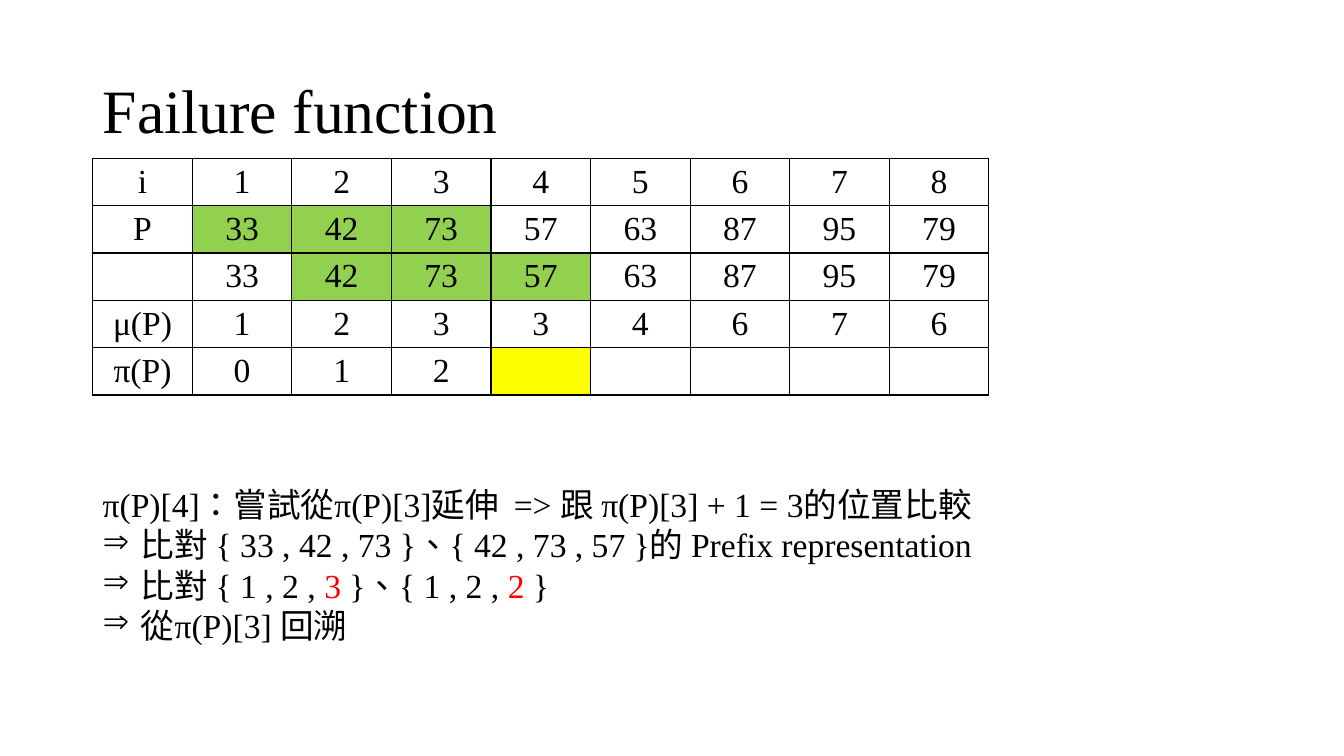
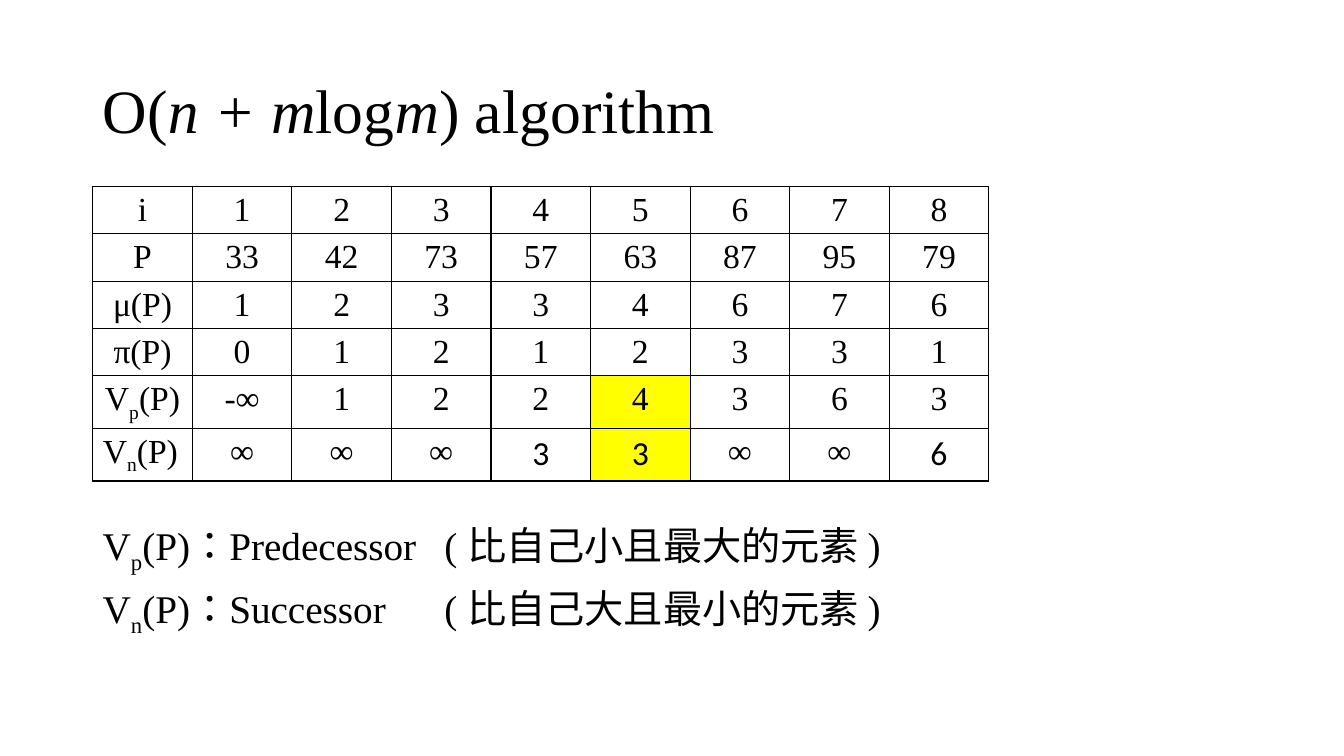
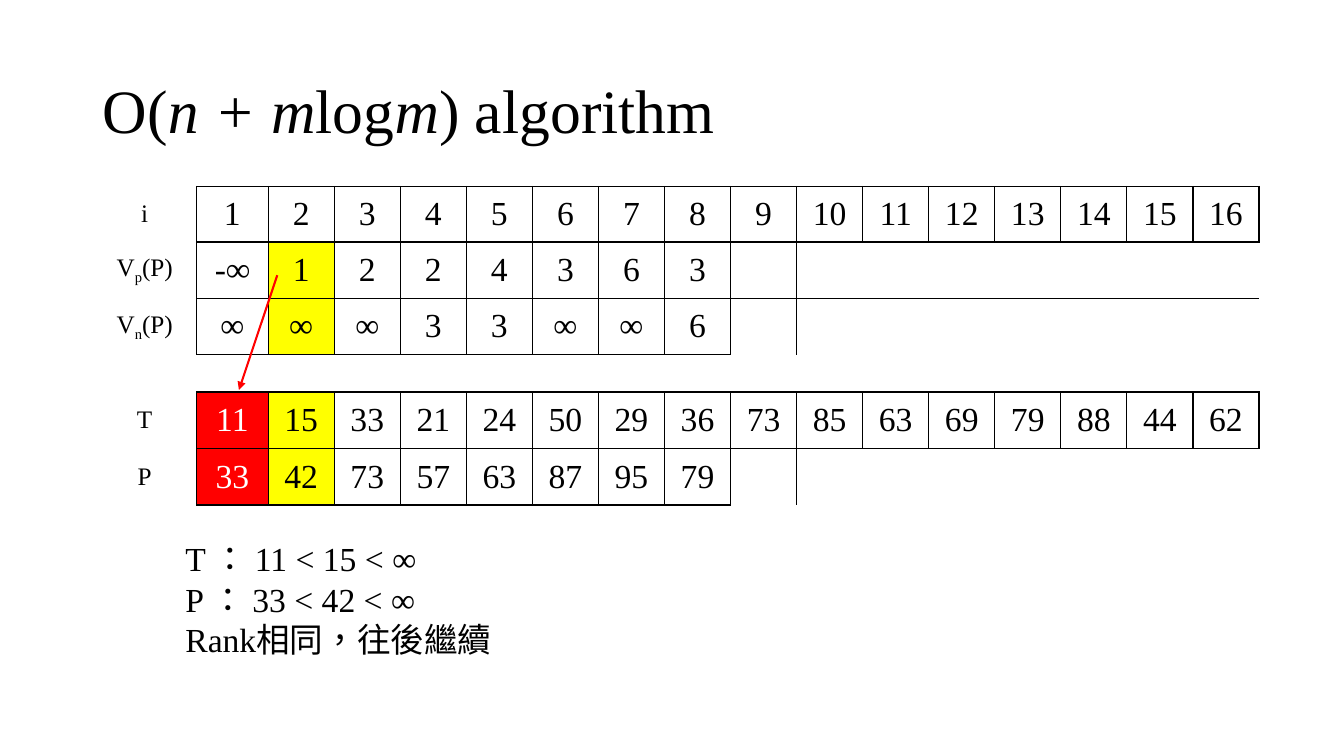
from lxml.etree import SubElement
from pptx import Presentation
from pptx.dml.color import RGBColor
from pptx.enum.shapes import MSO_CONNECTOR
from pptx.enum.text import MSO_ANCHOR, MSO_AUTO_SIZE, PP_ALIGN
from pptx.oxml.ns import qn
from pptx.util import Inches, Pt

BLACK = RGBColor(0x00, 0x00, 0x00)
WHITE = RGBColor(0xFF, 0xFF, 0xFF)
RED = RGBColor(0xFF, 0x00, 0x00)
GREEN = RGBColor(0x92, 0xD0, 0x50)
YELLOW = RGBColor(0xFF, 0xFF, 0x00)
SERIF = "Times New Roman"
CJK = "Noto Sans CJK SC"
NO_GRID_STYLE = "{2D5ABB26-0587-4C30-8999-92F81FD0307C}"
LEFT = 0.92


def add_text(p, text, mark=None, **fmt):
    """Add runs to p; parts between bars also take the format in mark."""
    for i, part in enumerate(text.split("|")):
        f = {**fmt, **(mark or {})} if i % 2 else fmt
        r = p.add_run()
        r.text = part
        r.font.size = Pt(f.get("size", 24))
        r.font.name = f.get("font", SERIF)
        r.font.color.rgb = f.get("color", BLACK)
        r.font.bold = f.get("bold", False)
        r.font.italic = f.get("italic", False)
        rPr = r.font._element
        if f.get("sub"):
            rPr.set("baseline", "-25000")
        if any(ord(ch) > 0x2E80 for ch in part):
            rPr.set("lang", "zh-TW")
            SubElement(rPr, qn("a:ea"), typeface=CJK)


def add_border(cell, side):
    """Draw a black 1 pt line on one side (L, R, T or B) of a cell."""
    ln = SubElement(cell._tc.get_or_add_tcPr(), qn(f"a:ln{side}"), w=str(Pt(1)))
    fill = SubElement(ln, qn("a:solidFill"))
    SubElement(fill, qn("a:srgbClr"), val=str(BLACK))


prs = Presentation()
prs.slide_width, prs.slide_height = Inches(13.33), Inches(7.5)

# Slides and titles
COMPLEXITY = "O(|n + m|log|m|) algorithm"
slides = []
for title in ("Failure function", COMPLEXITY, COMPLEXITY):
    s = prs.slides.add_slide(prs.slide_layouts[5])
    sp = s.shapes.title
    sp.left, sp.top = Inches(LEFT), Inches(0.4)
    sp.width, sp.height = Inches(11.5), Inches(1.45)
    tf = sp.text_frame
    tf.auto_size = MSO_AUTO_SIZE.NONE
    tf.vertical_anchor = MSO_ANCHOR.MIDDLE
    p = tf.paragraphs[0]
    p.alignment = PP_ALIGN.LEFT
    p.line_spacing = 0.9
    add_text(p, title, mark={"italic": True}, size=44)
    slides.append(s)
failure, vectors, matching = slides

# Table contents
index = ["i", *range(1, 9)]
pattern = [33, 42, 73, 57, 63, 87, 95, 79]
prefix = ["μ(P)", 1, 2, 3, 3, 4, 6, 7, 6]
before = ["V|p|(P)", "-∞", 1, 2, 2, 4, 3, 6, 3]
after = ["V|n|(P)", "∞", "∞", "∞", 3, 3, "∞", "∞", 6]
narrow = [8.89 / 9] * 9
wide = [1.03, 0.71] + [(11.57 - 1.03 - 0.71) / 15] * 15

tables = [
    dict(slide=failure, top=1.57, cols=narrow, heights=[0.47] * 5,
         rows=[index, ["P", *pattern], ["", *pattern], prefix,
               ["π(P)", 0, 1, 2]],
         fills={(1, 1): GREEN, (1, 2): GREEN, (1, 3): GREEN,
                (2, 2): GREEN, (2, 3): GREEN, (2, 4): GREEN,
                (4, 4): YELLOW}),
    dict(slide=vectors, top=1.85, cols=narrow,
         heights=[0.47] * 4 + [0.52] * 2,
         rows=[index, ["P", *pattern], prefix,
               ["π(P)", 0, 1, 2, 1, 2, 3, 3, 1], before, after],
         fills={(4, 5): YELLOW, (5, 5): YELLOW},
         sans=[(5, 4), (5, 5), (5, 8)], left_aligned=[(5, 0)]),
    dict(slide=matching, top=1.85, cols=wide, open_grid=True,
         heights=[0.55, 0.56, 0.56, 0.37, 0.56, 0.56],
         rows=[["i", *range(1, 17)], [before[0], "-|∞|", *before[2:]], after, [],
               ["T", 11, 15, 33, 21, 24, 50, 29, 36, 73, 85, 63, 69, 79, 88,
                44, 62],
               ["P", *pattern]],
         fills={(1, 2): YELLOW, (2, 2): YELLOW, (4, 1): RED, (5, 1): RED,
                (4, 2): YELLOW, (5, 2): YELLOW}),
]

# Tables
for t in tables:
    cols, heights, rows = t["cols"], t["heights"], t["rows"]
    open_grid = t.get("open_grid", False)
    frame = t["slide"].shapes.add_table(
        len(heights), len(cols), Inches(LEFT), Inches(t["top"]),
        Inches(sum(cols)), Inches(sum(heights)))
    table = frame.table
    table.first_row = table.horz_banding = False
    table._tbl.tblPr.find(qn("a:tableStyleId")).text = NO_GRID_STYLE
    for column, width in zip(table.columns, cols):
        column.width = Inches(width)
    for row, height in zip(table.rows, heights):
        row.height = Inches(height)

    # An open grid frames only the cells that hold a value
    boxed = {(i, j) for i in range(len(heights)) for j in range(len(cols))
             if not open_grid or 0 < j < len(rows[i])}
    for i in range(len(heights)):
        for j in range(len(cols)):
            cell = table.cell(i, j)
            neighbours = {"L": (i, j - 1), "R": (i, j + 1),
                          "T": (i - 1, j), "B": (i + 1, j)}
            for side, neighbour in neighbours.items():
                if (i, j) in boxed or neighbour in boxed:
                    add_border(cell, side)
            color = t["fills"].get((i, j))
            if color is None:
                cell.fill.background()
            else:
                cell.fill.solid()
                cell.fill.fore_color.rgb = color
            if open_grid:
                cell.vertical_anchor = MSO_ANCHOR.MIDDLE
            text = str(rows[i][j]) if j < len(rows[i]) else ""
            if not text:
                cell.margin_top = cell.margin_bottom = 0
                continue
            p = cell.text_frame.paragraphs[0]
            if (i, j) not in t.get("left_aligned", []):
                p.alignment = PP_ALIGN.CENTER
            add_text(p, text,
                     mark={"bold": True} if "∞" in text else {"sub": True},
                     size=18 if open_grid and j == 0 else 24,
                     font="Calibri" if (i, j) in t.get("sans", []) else SERIF,
                     color=WHITE if color == RED else BLACK)

# Explanations below the tables
boxes = [
    dict(slide=failure, at=(LEFT, 4.75, 8.97, 1.72), pitch=28.8, bullets=True,
         mark={"color": RED},
         lines=["π(P)[4]：嘗試從π(P)[3]延伸  => 跟 π(P)[3] + 1 = 3的位置比較",
                "比對 { 33 , 42 , 73 }、{ 42 , 73 , 57 }的 Prefix representation",
                "比對 { 1 , 2 , |3| }、{ 1 , 2 , |2| }",
                "從π(P)[3] 回溯"]),
    dict(slide=vectors, at=(LEFT, 5.17, 11.5, 1.15), pitch=35, size=28, gap=10,
         tab=3.39, mark={"sub": True},
         lines=["V|p|(P)：Predecessor\t( 比自己小且最大的元素 )",
                "V|n|(P)：Successor\t( 比自己大且最小的元素 )"]),
    dict(slide=matching, at=(1.74, 5.29, 6.61, 1.31), pitch=28.8,
         lines=["T ： 11 < 15 < ∞", "P ： 33 < 42 < ∞", "Rank相同，往後繼續"]),
]
for b in boxes:
    sp = b["slide"].shapes.add_textbox(*[Inches(v) for v in b["at"]])
    tf = sp.text_frame
    tf.word_wrap = True
    for i, line in enumerate(b["lines"]):
        p = tf.add_paragraph() if i else tf.paragraphs[0]
        pPr = p._p.get_or_add_pPr()
        if i and b.get("bullets"):
            pPr.set("marL", str(Inches(0.38)))
            pPr.set("indent", str(-Inches(0.38)))
            SubElement(pPr, qn("a:buChar"), char="⇒")
        if "tab" in b:
            tabs = SubElement(pPr, qn("a:tabLst"))
            SubElement(tabs, qn("a:tab"), pos=str(Inches(b["tab"])), algn="l")
        p.line_spacing = Pt(b["pitch"])
        if i:
            p.space_before = Pt(b.get("gap", 0))
        add_text(p, line, mark=b.get("mark"), size=b.get("size", 24))

# Arrow from the predecessor entry to the compared column
arrow = matching.shapes.add_connector(
    MSO_CONNECTOR.STRAIGHT, Inches(2.75), Inches(2.73), Inches(2.37), Inches(3.87))
arrow.line.color.rgb = RED
arrow.line.width = Pt(1.5)
SubElement(arrow.line._get_or_add_ln(), qn("a:tailEnd"), type="triangle")
SubElement(arrow._element.spPr, qn("a:effectLst"))

prs.save("out.pptx")
